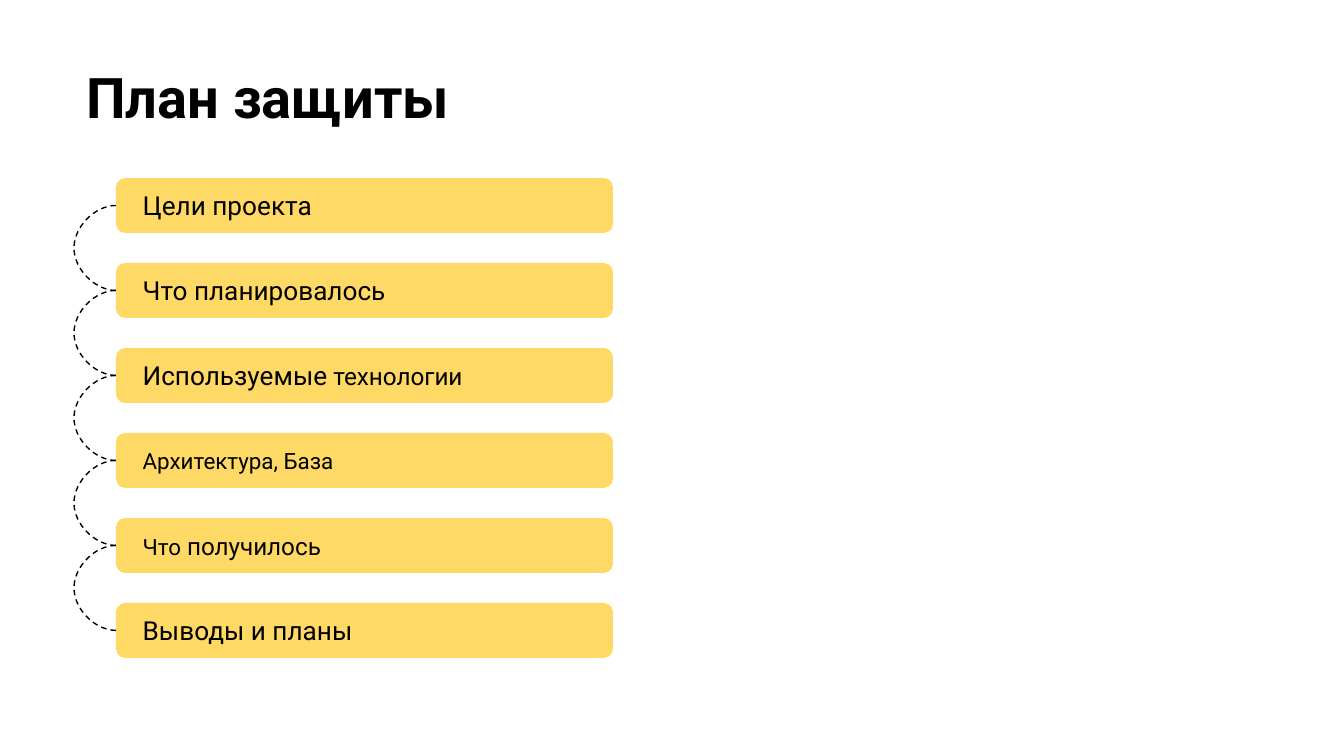
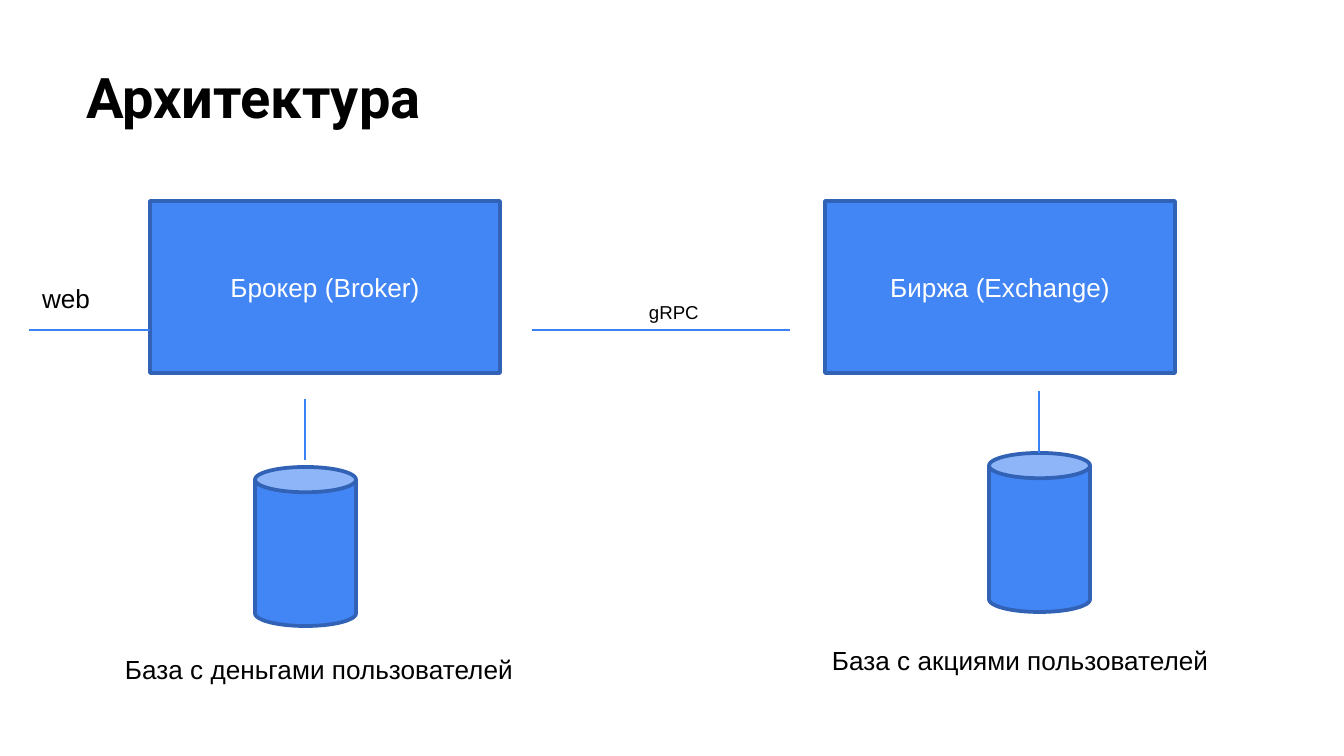
from itertools import pairwise

from lxml import etree
from pptx import Presentation
from pptx.dml.color import RGBColor
from pptx.enum.dml import MSO_LINE
from pptx.enum.shapes import MSO_CONNECTOR, MSO_SHAPE
from pptx.enum.text import MSO_ANCHOR, MSO_AUTO_SIZE, PP_ALIGN
from pptx.oxml.ns import qn
from pptx.util import Emu, Pt

PIXEL = 914400 / 134.4
SLIDE_SIZE = (1344, 756)
TITLE_ONLY_LAYOUT = 5

RECTANGLE = MSO_SHAPE.RECTANGLE
ROUNDED = MSO_SHAPE.ROUNDED_RECTANGLE
CAN = MSO_SHAPE.CAN
STRAIGHT = MSO_CONNECTOR.STRAIGHT
CURVE = MSO_CONNECTOR.CURVE
DASH = MSO_LINE.DASH
LEFT, CENTER = PP_ALIGN.LEFT, PP_ALIGN.CENTER
TOP, MIDDLE = MSO_ANCHOR.TOP, MSO_ANCHOR.MIDDLE
NO_FIT, GROW = MSO_AUTO_SIZE.NONE, MSO_AUTO_SIZE.SHAPE_TO_FIT_TEXT

BLACK, NEAR_BLACK, WHITE = "000000", "050505", "FFFFFF"
YELLOW, BLUE, BLUE_EDGE, BLUE_LINE = "FFD966", "4285F4", "3162B5", "3C81F3"
HEADING_FONT, DIAGRAM_FONT = "Roboto", "Arial"

TITLE_BOX = (73, 49, 1253, 161)
PLAN_LEFT, PLAN_TOP, PLAN_STEP = 116, 178, 85
PLAN_SIZE = (497, 55)
LEFT_SITE = 1
LINK_WIDTH = 600  # EMU; the curve's bulge is a multiple of this width
LINK_BULGE = -396.875

# Each row is a list of (text, size, colour) runs.
PLAN = [
    [("Цели проекта", 14, BLACK)],
    [("Что планировалось", 14, BLACK)],
    [("Используемые", 14, BLACK), (" технологии", 13, BLACK)],
    [("Архитектура, База", 12, BLACK)],
    [("Что", 12, BLACK), (" получилось", 13, NEAR_BLACK)],
    [("Выводы и планы", 14, BLACK)],
]


def px(*lengths):
    """Turn pixel lengths into a list of EMU lengths."""
    return [Emu(round(length * PIXEL)) for length in lengths]


def color(value):
    """Turn a hex string into a colour."""
    return RGBColor.from_string(value)


def write(shape, runs, font=DIAGRAM_FONT, bold=False, align=LEFT, anchor=TOP,
          insets=(13, 7), wrap=True, fit=NO_FIT):
    """Write (text, size, colour) runs as the only paragraph of a shape."""
    frame = shape.text_frame
    frame.word_wrap = wrap
    frame.auto_size = fit
    frame.vertical_anchor = anchor
    side, edge = px(*insets)
    frame.margin_left = frame.margin_right = side
    frame.margin_top = frame.margin_bottom = edge
    paragraph = frame.paragraphs[0]
    paragraph.alignment = align
    for text, size, text_color in runs:
        run = paragraph.add_run()
        run.text = text
        run.font.name = font
        run.font.size = Pt(size)
        run.font.bold = bold
        run.font.color.rgb = color(text_color)


def add_titled_slide(presentation, title):
    """Add a slide with the shared title style."""
    layout = presentation.slide_layouts[TITLE_ONLY_LAYOUT]
    slide = presentation.slides.add_slide(layout)
    shape = slide.shapes.title
    shape.left, shape.top, shape.width, shape.height = px(*TITLE_BOX)
    write(shape, [(title, 30, BLACK)], font=HEADING_FONT, bold=True,
          insets=(13, 14))
    return slide


def add_block(slide, kind, box, fill, edge=None):
    """Add a flat preset shape, outlined only if an edge colour is given."""
    shape = slide.shapes.add_shape(kind, *px(*box))
    shape.shadow.inherit = False
    shape.fill.solid()
    shape.fill.fore_color.rgb = color(fill)
    if edge:
        shape.line.color.rgb = color(edge)
        shape.line.width = Pt(2)
    else:
        shape.line.fill.background()
    return shape


def add_label(slide, text, box, size=14):
    """Add a one-line text box that grows with its text."""
    shape = slide.shapes.add_textbox(*px(*box))
    write(shape, [(text, size, BLACK)], wrap=False, fit=GROW)


def add_line(slide, kind, start, end, line_color):
    """Add a thin connector without a shadow."""
    connector = slide.shapes.add_connector(kind, *px(*start, *end))
    connector.line.color.rgb = color(line_color)
    connector.line.width = Pt(0.75)
    etree.SubElement(connector._element.spPr, qn("a:effectLst"))
    return connector


def link_rows(slide, upper, lower):
    """Join the left sides of two rows with a dashed curve."""
    start, end = (PLAN_LEFT, PLAN_TOP), (PLAN_LEFT, PLAN_TOP + PLAN_STEP)
    connector = add_line(slide, CURVE, start, end, BLACK)
    connector.begin_connect(upper, LEFT_SITE)
    connector.end_connect(lower, LEFT_SITE)
    connector.width = Emu(LINK_WIDTH)
    connector.line.dash_style = DASH
    geometry = connector._element.spPr.find(qn("a:prstGeom"))
    adjustments = geometry.find(qn("a:avLst"))
    if adjustments is None:
        adjustments = etree.SubElement(geometry, qn("a:avLst"))
    etree.SubElement(adjustments, qn("a:gd"), name="adj1",
                     fmla=f"val {round(LINK_BULGE * 100000)}")


def build_plan(presentation):
    """Build the plan: a column of rows chained by curves."""
    slide = add_titled_slide(presentation, "План защиты")
    rows = []
    for index, runs in enumerate(PLAN):
        box = (PLAN_LEFT, PLAN_TOP + index * PLAN_STEP, *PLAN_SIZE)
        row = add_block(slide, ROUNDED, box, YELLOW)
        write(row, runs, font=HEADING_FONT, anchor=MIDDLE, insets=(24, 13))
        rows.append(row)
    for upper, lower in pairwise(rows):
        link_rows(slide, upper, lower)


def build_architecture(presentation):
    """Build the architecture: two services, each with its database."""
    slide = add_titled_slide(presentation, "Архитектура")
    for text, left in (("Брокер (Broker)", 150), ("Биржа (Exchange)", 825)):
        service = add_block(slide, RECTANGLE, (left, 201, 350, 172),
                            BLUE, BLUE_EDGE)
        write(service, [(text, 14, WHITE)], align=CENTER, anchor=MIDDLE)
    add_label(slide, "gRPC", (636, 294, 78, 36), size=10)
    add_label(slide, "web", (29, 275, 86, 54))
    for left, top in ((255, 467), (989, 453)):
        add_block(slide, CAN, (left, top, 101, 159), BLUE, BLUE_EDGE)
    add_label(slide, "База с деньгами пользователей", (112, 646, 421, 46))
    add_label(slide, "База с акциями пользователей", (819, 637, 409, 46))
    for start, end in (
        ((1039, 453), (1039, 391)),
        ((305, 460), (305, 399)),
        ((532, 330), (790, 330)),
        ((29, 330), (150, 330)),
    ):
        add_line(slide, STRAIGHT, start, end, BLUE_LINE)


def main():
    """Build both slides and save the presentation."""
    presentation = Presentation()
    presentation.slide_width, presentation.slide_height = px(*SLIDE_SIZE)
    build_plan(presentation)
    build_architecture(presentation)
    presentation.save("out.pptx")


main()
